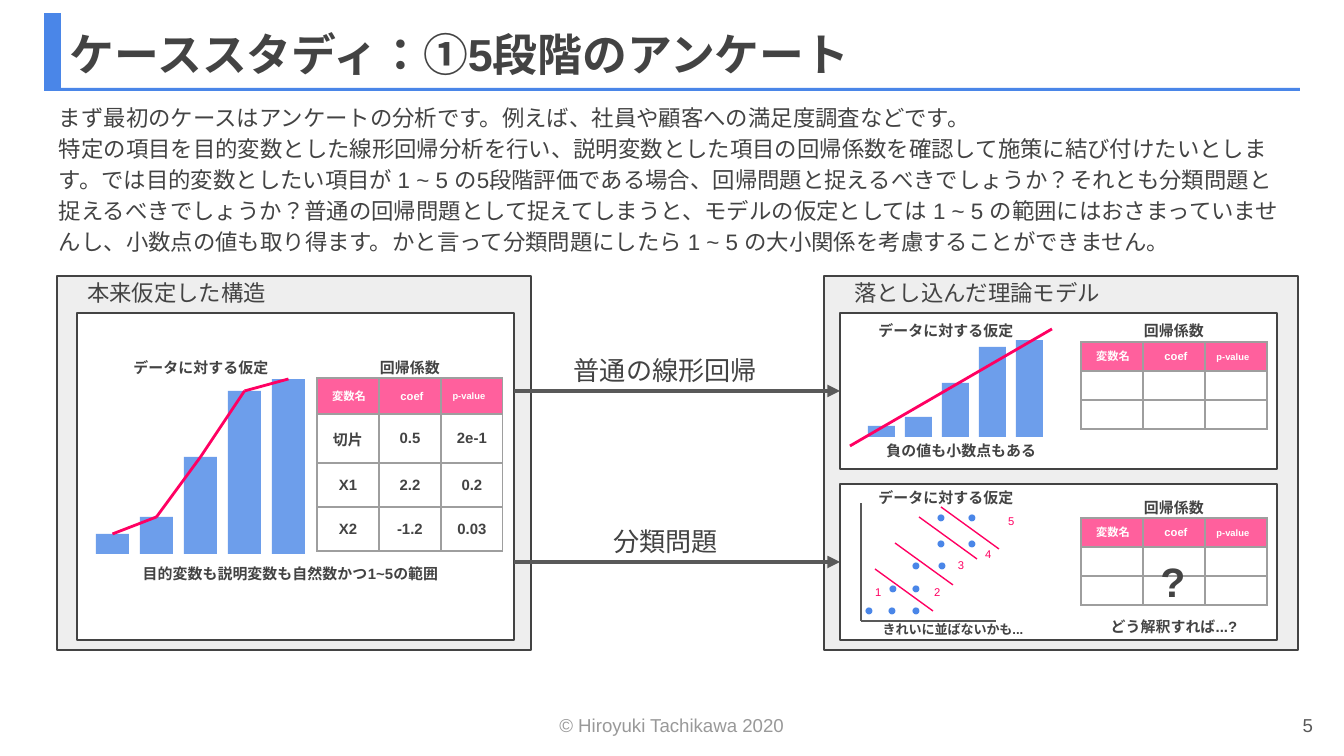
from itertools import pairwise

from lxml import etree
from pptx import Presentation
from pptx.dml.color import RGBColor
from pptx.enum.lang import MSO_LANGUAGE_ID
from pptx.enum.shapes import MSO_CONNECTOR, MSO_SHAPE
from pptx.enum.text import MSO_ANCHOR, PP_ALIGN
from pptx.oxml.ns import qn
from pptx.util import Pt

LEFT, CENTER, RIGHT = PP_ALIGN.LEFT, PP_ALIGN.CENTER, PP_ALIGN.RIGHT
TOP, MIDDLE = MSO_ANCHOR.TOP, MSO_ANCHOR.MIDDLE
RECT, OVAL = MSO_SHAPE.RECTANGLE, MSO_SHAPE.OVAL
STRAIGHT = MSO_CONNECTOR.STRAIGHT
JAPANESE = MSO_LANGUAGE_ID.JAPANESE

EMU_PER_PX = 914400 / 134.4
INSET = 13
FONT = "Arial"
BLUE, BAR, PINK, HEADER = "4A86E8", "6D9EEB", "FF0062", "FF609D"
DARK, GRAY, FOOTER, BORDER = "434343", "595959", "999999", "9E9E9E"
PANEL, WHITE = "EEEEEE", "FFFFFF"

TITLE = "ケーススタディ：①5段階のアンケート"
BODY = [
    "まず最初のケースはアンケートの分析です。例えば、社員や顧客への満足度調査などです。",
    "特定の項目を目的変数とした線形回帰分析を行い、説明変数とした項目の回帰係数を確認して"
    "施策に結び付けたいとします。では目的変数としたい項目が 1 ~ 5 の5段階評価である場合、"
    "回帰問題と捉えるべきでしょうか？それとも分類問題と捉えるべきでしょうか？"
    "普通の回帰問題として捉えてしまうと、モデルの仮定としては 1 ~ 5 の範囲には"
    "おさまっていませんし、小数点の値も取り得ます。かと言って分類問題にしたら 1 ~ 5 の"
    "大小関係を考慮することができません。",
]

# Boxes are (left, top, width, height) in px
PANELS = [((57, 276, 474, 374), "本来仮定した構造"),
          ((824, 276, 474, 374), "落とし込んだ理論モデル")]
CARDS = [(77, 313, 437, 327), (840, 313, 437, 156), (840, 484, 437, 156)]
ARROWS = [(391, "普通の線形回帰"), (562, "分類問題")]
ASSUMPTION, COEFFICIENTS = "データに対する仮定", "回帰係数"
CAPTIONS = [
    ((96, 358, 210, 20), ASSUMPTION, 8),
    ((305, 358, 210, 20), COEFFICIENTS, 8),
    ((79, 555, 423, 36), "目的変数も説明変数も自然数かつ1~5の範囲", 8),
    ((841, 321, 210, 20), ASSUMPTION, 8),
    ((1069, 321, 210, 20), COEFFICIENTS, 8),
    ((869, 437, 185, 27), "負の値も小数点もある", 8),
    ((841, 488, 210, 20), ASSUMPTION, 8),
    ((1069, 498, 210, 20), COEFFICIENTS, 8),
    ((852, 616, 202, 27), "きれいに並ばないかも...", 7),
    ((1069, 617, 210, 20), "どう解釈すれば...?", 8),
    ((1115, 554, 116, 54), "?", 22),
]

COLUMNS = [("変数名", 6, 0), ("coef", 6, 63), ("p-value", 5, 120)]  # name, size, offset
COLUMN_WIDTH = 62
ESTIMATES = [("切片", "0.5", "2e-1"), ("X1", "2.2", "0.2"), ("X2", "-1.2", "0.03")]
UNKNOWN = [("", "", "")] * 2
TABLES = [  # left, top, row heights, data rows
    (317, 378, (36, 49, 44, 44), ESTIMATES),
    (1081, 342, (29, 29, 29), UNKNOWN),
    (1081, 518, (29, 29, 29), UNKNOWN),
]

SURVEY_BARS = (20, 37, 97, 163, 175)
LINEAR_BARS = (11, 20, 54, 90, 97)
DOT = 7
DOT_ROWS = {518: (941, 972), 544: (941, 972), 566: (916, 942),
            589: (893, 916), 611: (869, 892, 916)}
BOUNDARIES = [(941, 507), (919, 517), (895, 543), (875, 569)]
CLASSES = [("1", 862, 577), ("2", 921, 577), ("3", 945, 550),
           ("4", 972, 539), ("5", 995, 506)]


def px(n):
    return round(n * EMU_PER_PX)


def color(value):
    return RGBColor.from_string(value)


def shape(box, fill, line=None, kind=RECT):
    sp = s.shapes.add_shape(kind, *map(px, box))
    sp.shadow.inherit = False
    sp.fill.solid()
    sp.fill.fore_color.rgb = color(fill)
    if line:
        sp.line.color.rgb = color(line)
        sp.line.width = Pt(0.75)
    else:
        sp.line.fill.background()


def line(start, end, stroke, width, arrow=False):
    cn = s.shapes.add_connector(STRAIGHT, *map(px, (*start, *end)))
    cn.line.color.rgb = color(stroke)
    cn.line.width = Pt(width)
    if arrow:
        etree.SubElement(cn.line._get_or_add_ln(), qn("a:tailEnd"), type="triangle")
    etree.SubElement(cn._element.spPr, qn("a:effectLst"))


def style(p, size, fill, bold, align):
    p.alignment = align
    p.font.name = FONT
    p.font.size = Pt(size)
    p.font.bold = bold
    p.font.color.rgb = color(fill)
    for r in p.runs:
        r.font.language_id = JAPANESE


def text(box, paragraphs, size, fill=DARK, bold=False, align=LEFT,
         anchor=MIDDLE, spacing=None):
    tf = s.shapes.add_textbox(*map(px, box)).text_frame
    tf.word_wrap = True
    tf.vertical_anchor = anchor
    tf.margin_left = tf.margin_right = tf.margin_top = tf.margin_bottom = px(INSET)
    tf.text = "\n".join(paragraphs)
    for p in tf.paragraphs:
        style(p, size, fill, bold, align)
        p.line_spacing = spacing


def fill_cell(cell, value, fill=None):
    cell.margin_left = cell.margin_right = cell.margin_top = cell.margin_bottom = 0
    cell.vertical_anchor = MIDDLE
    cell.text = value
    p = cell.text_frame.paragraphs[0]
    style(p, 8, DARK, True, CENTER)
    if not value:  # keeps an empty row from growing to the default text size
        p._p.get_or_add_endParaRPr().set("sz", "800")
    tc_pr = cell._tc.get_or_add_tcPr()
    for side in ("lnL", "lnR", "lnT", "lnB"):
        ln = etree.SubElement(tc_pr, qn(f"a:{side}"), w=str(Pt(0.75)))
        solid = etree.SubElement(ln, qn("a:solidFill"))
        etree.SubElement(solid, qn("a:srgbClr"), val=BORDER)
    if fill:
        cell.fill.solid()
        cell.fill.fore_color.rgb = color(fill)
    else:
        cell.fill.background()


def coefficient_table(left, top, heights, rows):
    """Draw the grid, with the column names as labels over its header band."""
    box = (left, top, COLUMN_WIDTH * len(COLUMNS), sum(heights))
    table = s.shapes.add_table(len(heights), len(COLUMNS), *map(px, box)).table
    table.first_row = table.horz_banding = False
    for row, height in zip(table.rows, heights):
        row.height = px(height)
    for c, (name, size, offset) in enumerate(COLUMNS):
        table.columns[c].width = px(COLUMN_WIDTH)
        fill_cell(table.cell(0, c), "", HEADER)
        for r, row in enumerate(rows, 1):
            fill_cell(table.cell(r, c), row[c])
        label = (left + 1 + offset, top + heights[0] / 2 - 10, COLUMN_WIDTH, 20)
        text(label, [name], size, WHITE, bold=True, align=CENTER)


def bars(left, base, step, width, heights):
    """Draw the bars and return the middle of each top edge."""
    peaks = []
    for i, height in enumerate(heights):
        x, y = left + i * step, base - height
        shape((x, y, width, height), BAR)
        peaks.append((x + width / 2, y))
    return peaks


prs = Presentation()
prs.slide_width, prs.slide_height = px(1344), px(756)
s = prs.slides.add_slide(prs.slide_layouts[6])

shape((44, 13, 17, 75), BLUE)
shape((44, 88, 1256, 3), BLUE)
text((57, 16, 1253, 75), [TITLE], 24, bold=True)
text((46, 87, 1253, 173), BODY, 12, anchor=TOP, spacing=1.15)
text((90, 707, 1163, 36), ["©︎ Hiroyuki Tachikawa 2020"], 10, FOOTER, align=CENTER)
text((1245, 707, 81, 36), ["5"], 10, GRAY, align=RIGHT)

for box, heading in PANELS:
    shape(box, PANEL, DARK)
    text((box[0] + 17, box[1] + 7, 437, 20), [heading], 12)
for box in CARDS:
    shape(box, WHITE, DARK)
for y, label in ARROWS:
    line((514, y), (840, y), GRAY, 2.25, arrow=True)
    text((513, y - 42, 305, 42), [label], 14, align=CENTER)

for start, end in pairwise(bars(96, 554, 44, 33, SURVEY_BARS)):
    line(start, end, PINK, 1.5)
bars(868, 437, 37, 27, LINEAR_BARS)
line((1052, 329), (850, 446), PINK, 1.5)

line((861, 621), (861, 503), GRAY, 0.75)
line((861, 621), (996, 621), GRAY, 0.75)
for y, centers in DOT_ROWS.items():
    for x in centers:
        shape((x - DOT / 2, y - DOT / 2, DOT, DOT), BLUE, kind=OVAL)
for x, y in BOUNDARIES:
    line((x, y), (x + 58, y + 42), PINK, 0.75)
for name, x, y in CLASSES:
    text((x, y, 32, 31), [name], 6, PINK)

for left, top, heights, rows in TABLES:
    coefficient_table(left, top, heights, rows)
for box, caption, size in CAPTIONS:
    text(box, [caption], size, bold=True, align=CENTER)

prs.save("out.pptx")
